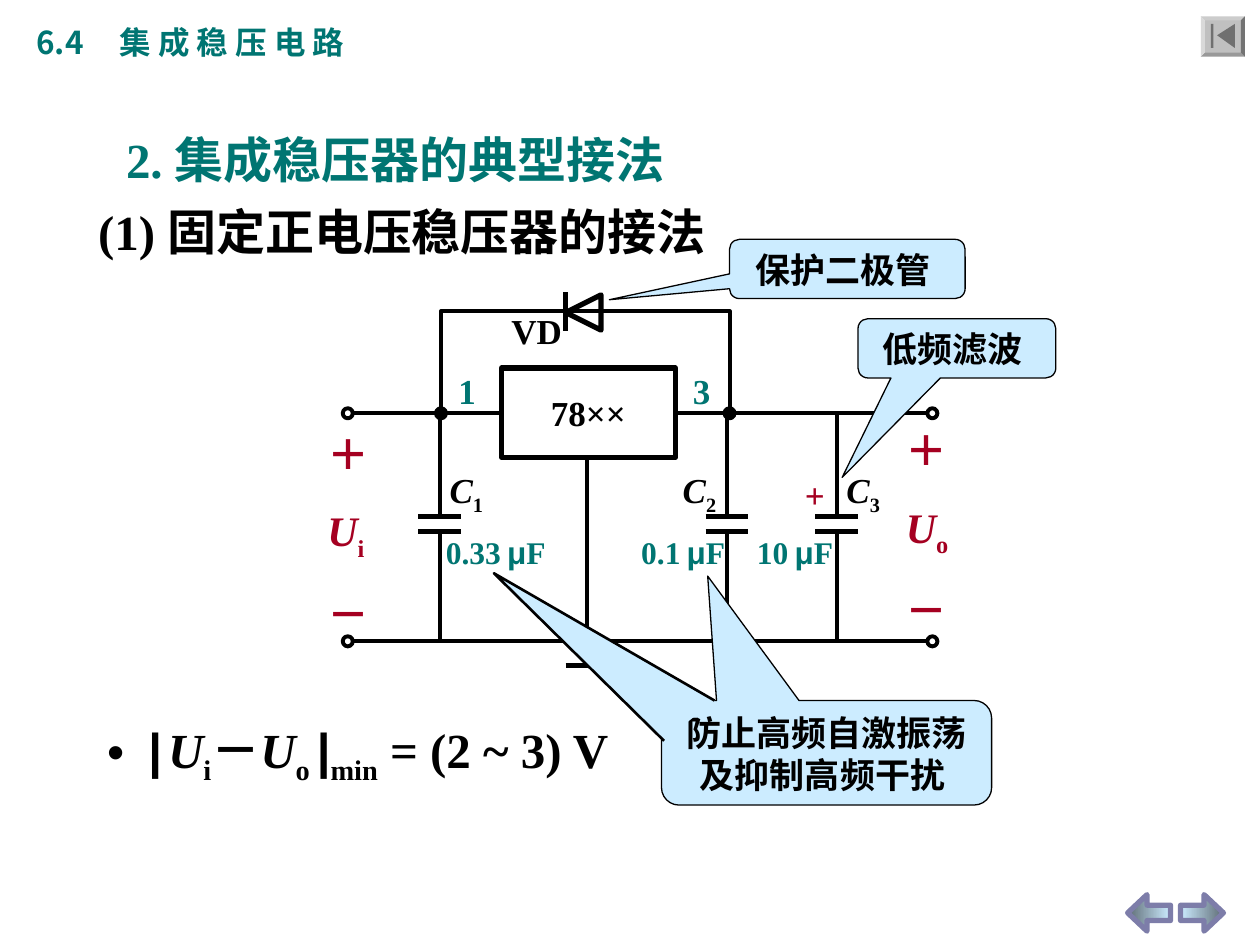
from dataclasses import dataclass

from pptx import Presentation
from pptx.dml.color import RGBColor
from pptx.enum.shapes import MSO_CONNECTOR, MSO_SHAPE as Preset
from pptx.enum.text import MSO_ANCHOR, MSO_AUTO_SIZE, PP_ALIGN
from pptx.oxml import parse_xml
from pptx.oxml.ns import nsdecls, qn
from pptx.util import Inches, Pt

BLACK = RGBColor(0x00, 0x00, 0x00)
WHITE = RGBColor(0xFF, 0xFF, 0xFF)
TEAL = RGBColor(0x00, 0x75, 0x72)
RED = RGBColor(0xA5, 0x00, 0x21)
SKY = RGBColor(0xCC, 0xEC, 0xFF)
SLATE = RGBColor(0x5E, 0x6C, 0x75)
LAVENDER = RGBColor(0x7D, 0x7D, 0xA9)
SILVER = RGBColor(0xC0, 0xC0, 0xC0)
GRAY = RGBColor(0x70, 0x70, 0x70)
SERIF, SANS, CJK = "Times New Roman", "Arial", "Noto Sans CJK SC"
TOP_RAIL, BOTTOM_RAIL = 3.28, 5.09


@dataclass
class Span:
    text: str
    size: float = 20
    color: RGBColor = BLACK
    font: str = SERIF
    italic: bool = False
    sub: bool = False


@dataclass
class Capacitor:
    x: float
    number: str
    name_left: float
    value: str
    value_left: float
    value_width: float


@dataclass
class Callout:
    box: tuple
    tip: tuple
    lines: tuple


CAPACITORS = [
    Capacitor(3.49, "1", 3.47, "0.33", 3.44, 1.04),
    Capacitor(5.77, "2", 5.32, "0.1", 4.99, 0.92),
    Capacitor(6.64, "3", 6.62, "10", 5.91, 0.86),
]
CALLOUTS = [
    Callout((5.79, 1.9, 1.87, 0.47), (-1.01, 0.52), ("保护二极管 ",)),
    Callout((6.81, 2.53, 1.57, 0.47), (-0.58, 2.18), ("低频滤波 ",)),
    Callout((5.25, 5.56, 2.62, 0.83), (-0.36, -1.69), ("防止高频自激振荡", "及抑制高频干扰 ")),
]


def add_spans(para, spans: list) -> None:
    for span in spans:
        run = para.add_run()
        run.text = span.text
        font = run.font
        font.name, font.size = span.font, Pt(span.size)
        font.bold, font.italic = True, span.italic
        font.color.rgb = span.color
        properties = run._r.get_or_add_rPr()
        properties.find(qn("a:latin")).addnext(
            parse_xml(f'<a:ea {nsdecls("a")} typeface="{CJK}"/>'))
        if span.sub:
            properties.set("baseline", "-25000")


def write(shape, paragraphs: list, align=PP_ALIGN.LEFT, anchor=MSO_ANCHOR.TOP,
          wrap: bool = False, before: float = 0) -> None:
    frame = shape.text_frame
    frame.word_wrap, frame.auto_size = wrap, MSO_AUTO_SIZE.NONE
    frame.vertical_anchor = anchor
    for index, spans in enumerate(paragraphs):
        para = frame.add_paragraph() if index else frame.paragraphs[0]
        para.alignment = align
        para.space_before = Pt(before if index else 0)
        add_spans(para, spans)


def add_text(page, box: tuple, *paragraphs: list, before: float = 0):
    label = page.shapes.add_textbox(*map(Inches, box))
    write(label, list(paragraphs), before=before)
    return label


def style(shape, fill, line=BLACK, width: float = 2.25):
    shape.shadow.inherit = False
    if fill is None:
        shape.fill.background()
    else:
        shape.fill.solid()
        shape.fill.fore_color.rgb = fill
    if line is None:
        shape.line.fill.background()
    else:
        shape.line.color.rgb, shape.line.width = line, Pt(width)
    return shape


def add_shape(page, preset, box: tuple, fill, line=BLACK, width: float = 2.25):
    return style(page.shapes.add_shape(preset, *map(Inches, box)), fill, line, width)


def add_outline(page, points: list, fill, line=BLACK, width: float = 2.25, close=False):
    corners = [(Inches(x), Inches(y)) for x, y in points]
    builder = page.shapes.build_freeform(*corners[0], scale=1.0)
    builder.add_line_segments(corners[1:], close=close)
    return style(builder.convert_to_shape(), fill, line, width)


def add_wire(page, x1: float, y1: float, x2: float, y2: float, width: float = 2.25) -> None:
    wire = page.shapes.add_connector(MSO_CONNECTOR.STRAIGHT, *map(Inches, (x1, y1, x2, y2)))
    wire.line.color.rgb, wire.line.width = BLACK, Pt(width)
    wire._element.spPr.append(parse_xml(f'<a:effectLst {nsdecls("a")}/>'))


def add_node(page, x: float, y: float, fill: RGBColor) -> None:
    add_shape(page, Preset.OVAL, (x - 0.04, y - 0.04, 0.08, 0.08), fill)


def add_capacitor(page, part: Capacitor) -> None:
    for plate in (4.1, 4.22):
        add_wire(page, part.x - 0.17, plate, part.x + 0.17, plate, 3)
    add_wire(page, part.x, TOP_RAIL, part.x, 4.1)
    add_wire(page, part.x, 4.22, part.x, BOTTOM_RAIL)
    add_text(page, (part.name_left, 3.67, 0.5, 0.48),
             [Span("C", italic=True), Span(part.number, sub=True)])
    add_text(page, (part.value_left, 4.18, part.value_width, 0.4),
             [Span(part.value, 18, TEAL), Span(" ", 14, TEAL),
              Span("μ", 18, TEAL, SANS), Span("F", 18, TEAL)])


def add_voltage(page, left: float, top: float, width: float, letter: str) -> None:
    add_text(page, (left, top, width, 1.77), [Span("＋", 24, RED)],
             [Span("U", 24, RED, italic=True), Span(letter, 24, RED, sub=True)],
             [Span("－", 24, RED)], before=15)


def add_callout(page, note: Callout) -> None:
    bubble = add_shape(page, Preset.ROUNDED_RECTANGULAR_CALLOUT, note.box, SKY, BLACK, 0.75)
    for index, value in enumerate((*note.tip, 0.167)):
        bubble.adjustments[index] = value
    write(bubble, [[Span(line)] for line in note.lines], PP_ALIGN.CENTER)


def add_navigation(page) -> None:
    for preset, left, angle in ((Preset.RIGHT_ARROW, 9.37, 180), (Preset.LEFT_ARROW, 8.95, 0)):
        arrow = add_shape(page, preset, (left, 7.1, 0.34, 0.29), SKY, LAVENDER, 3)
        arrow.adjustments[0], arrow.adjustments[1] = 0.42, 0.53
        arrow.fill.gradient()
        arrow.fill.gradient_angle = angle
        for stop, color in zip(arrow.fill.gradient_stops, (SLATE, SKY)):
            stop.color.rgb = color
    button = add_shape(page, Preset.BEVEL, (9.53, 0.13, 0.35, 0.32), SILVER, None)
    button.adjustments[0] = 0.1
    add_outline(page, [(9.66, 0.28), (9.8, 0.19), (9.8, 0.38)], GRAY, None, close=True)
    add_shape(page, Preset.RECTANGLE, (9.61, 0.19, 0.02, 0.19), GRAY, None)


def add_circuit(page) -> None:
    # Rails and terminals
    for rail in (TOP_RAIL, BOTTOM_RAIL):
        add_wire(page, 2.8, rail, 7.36, rail)
        for x in (2.76, 7.4):
            add_node(page, x, rail, WHITE)
    # Regulator and ground
    add_wire(page, 4.66, 3.59, 4.66, 5.28)
    regulator = add_shape(page, Preset.RECTANGLE, (3.98, 2.92, 1.38, 0.71), WHITE, BLACK, 3)
    write(regulator, [[Span("78××")]], PP_ALIGN.CENTER, MSO_ANCHOR.MIDDLE)
    add_wire(page, 4.49, 5.28, 4.84, 5.28, 3)
    add_node(page, 4.66, BOTTOM_RAIL, BLACK)
    # Protection diode
    add_outline(page, [(5.79, TOP_RAIL), (5.79, 2.47), (3.5, 2.47), (3.5, TOP_RAIL)], None)
    add_wire(page, 4.49, 2.32, 4.49, 2.63, 3)
    diode = add_shape(page, Preset.ISOSCELES_TRIANGLE, (4.49, 2.34, 0.28, 0.28), None, BLACK, 3)
    diode.rotation = 270
    add_text(page, (3.96, 2.41, 0.64, 0.48), [Span("VD")])
    # Capacitors, pins and voltages
    for part in CAPACITORS:
        add_capacitor(page, part)
    add_text(page, (6.29, 3.71, 0.43, 0.44), [Span("+", color=RED)])
    for x, pin, left in ((3.5, "1", 3.54), (5.79, "3", 5.4)):
        add_node(page, x, TOP_RAIL, BLACK)
        add_text(page, (left, 2.88, 0.41, 0.44), [Span(pin, color=TEAL)])
    add_voltage(page, 2.5, 3.35, 0.54, "i")
    add_voltage(page, 7.09, 3.32, 0.58, "o")


def place(shape, box: tuple) -> None:
    shape.left, shape.top, shape.width, shape.height = map(Inches, box)


def main() -> None:
    deck = Presentation()
    deck.slide_width, deck.slide_height = Inches(10), Inches(7.5)
    page = deck.slides.add_slide(deck.slide_layouts[1])

    # Headings
    title, body = page.placeholders
    place(title, (0.9, 0.98, 7.18, 0.57))
    write(title, [[Span("2. 集成稳压器的典型接法", 28, TEAL)]], wrap=True)
    add_text(page, (0.68, 1.55, 5.5, 0.57), [Span("(1) 固定正电压稳压器的接法", 28)])
    section = add_text(page, (0.19, 0.13, 2.81, 0.4))
    para = section.text_frame.paragraphs[0]
    para._p.get_or_add_pPr().append(parse_xml(
        f'<a:tabLst {nsdecls("a")}><a:tab pos="{Inches(0.66)}" algn="l"/></a:tabLst>'))
    add_spans(para, [Span("6.4\t集 成 稳 压 电 路", 18, TEAL, CJK)])

    # Voltage condition
    place(body, (0.75, 5.66, 4.6, 0.63))
    bullet = body.text_frame.paragraphs[0]._p.get_or_add_pPr()
    bullet.set("marL", str(Inches(0.23)))
    bullet.set("indent", str(-Inches(0.23)))
    bullet.append(parse_xml(f'<a:buChar {nsdecls("a")} char="•"/>'))
    write(body, [[
        Span(" ", 28), Span("|", 28, font=SANS), Span(" ", 14),
        Span("U", 28, italic=True), Span("i", 28, sub=True), Span("－", 28),
        Span("U", 28, italic=True), Span("o ", 28, sub=True), Span("|", 28, font=SANS),
        Span("min", 28, sub=True), Span(" = (2 ~ 3) V", 28)]])

    # Diagram, notes and buttons
    add_circuit(page)
    for note in CALLOUTS:
        add_callout(page, note)
    add_outline(page, [(5.27, 5.88), (3.92, 4.55), (5.67, 5.56)], SKY, BLACK, 1.5)
    add_navigation(page)
    deck.save("out.pptx")


if __name__ == "__main__":
    main()
